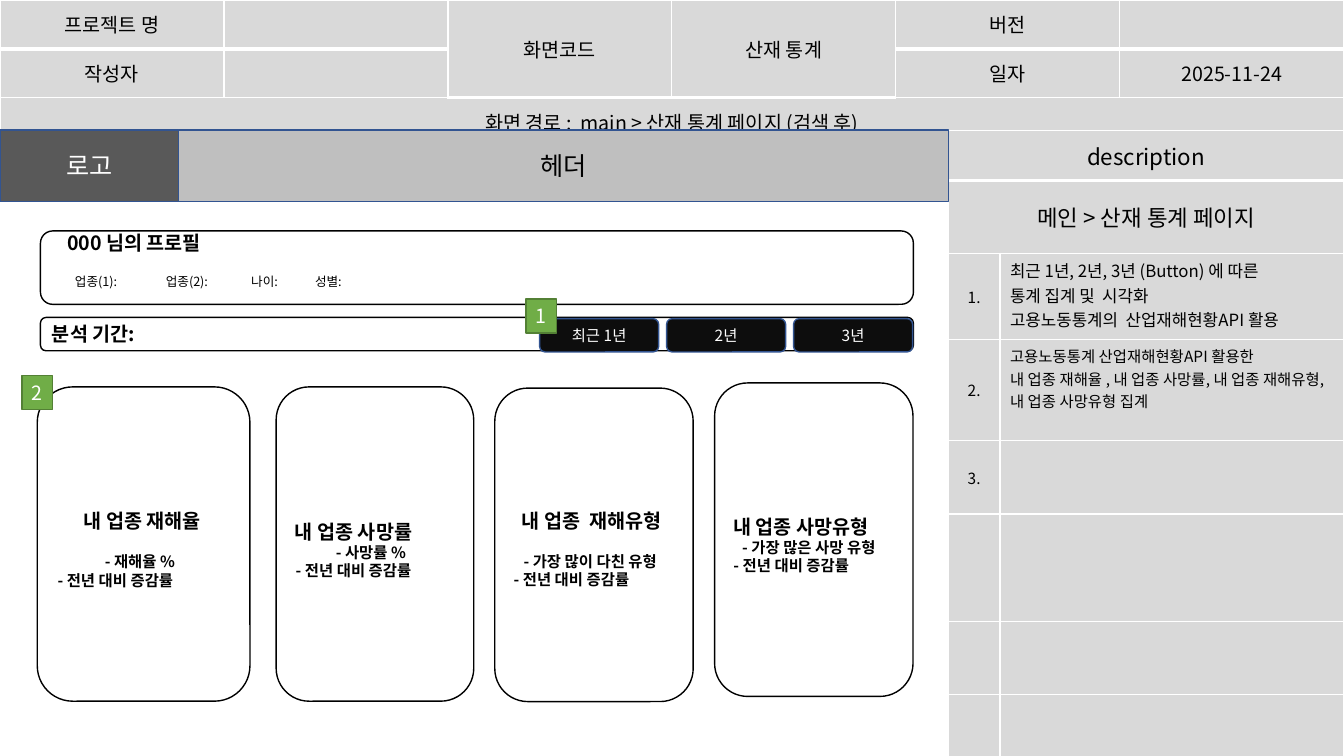
from lxml import etree
from pptx import Presentation
from pptx.dml.color import RGBColor
from pptx.enum.shapes import MSO_SHAPE
from pptx.enum.text import MSO_ANCHOR, PP_ALIGN
from pptx.oxml.ns import qn
from pptx.util import Cm, Pt

RECT, ROUND = MSO_SHAPE.RECTANGLE, MSO_SHAPE.ROUNDED_RECTANGLE
TOP, MIDDLE = MSO_ANCHOR.TOP, MSO_ANCHOR.MIDDLE
LEFT, CENTER = PP_ALIGN.LEFT, PP_ALIGN.CENTER

FONT = "Noto Sans CJK KR"
BLACK = RGBColor(0x00, 0x00, 0x00)
WHITE = RGBColor(0xFF, 0xFF, 0xFF)
CELL_GRAY = RGBColor(0xD9, 0xD9, 0xD9)
BAR_GRAY = RGBColor(0xBF, 0xBF, 0xBF)
LOGO_GRAY = RGBColor(0x59, 0x59, 0x59)
BUTTON_BLACK = RGBColor(0x0D, 0x0D, 0x0D)
BLUE_EDGE = RGBColor(0x32, 0x54, 0x91)
GREEN = RGBColor(0x70, 0xAD, 0x47)
GREEN_EDGE = RGBColor(0x53, 0x80, 0x35)

SLIDE_W, SLIDE_H = 33.87, 19.05
BODY_TOP, SIDE_LEFT = 3.28, 23.9

INFO_ROWS = [
    ["프로젝트 명", "", "화면코드", "산재 통계", "버전", ""],
    ["작성자", "", "", "", "일자", "2025-11-24"],
    ["화면 경로 :  main > 산재 통계 페이지 (검색 후)", "", "", "", "", ""],
]
INFO_MERGES = [(0, 2, 1, 2), (0, 3, 1, 3), (2, 0, 2, 5)]
INFO_ROW_H, INFO_INSET = 1.23, 0.25

SIDE_HEADS = ["description", "메인 > 산재 통계 페이지"]
SIDE_NOTES = [
    ("1.", 12, ["최근 1년, 2년, 3년 (Button) 에 따른", "통계 집계 및  시각화",
                "고용노동통계의  산업재해현황API 활용"]),
    ("2.", 11, ["고용노동통계 산업재해현황API 활용한",
                "내 업종 재해율 , 내 업종 사망률, 내 업종 재해유형, 내 업종 사망유형 집계"]),
    ("3.", 11, []),
]
SIDE_COLS = [1.3, SLIDE_W - SIDE_LEFT - 1.3]
SIDE_ROW_H = [1.27, 1.83, 2.18, 2.54, 1.85, 2.72, 1.83, 1.63]

PROFILE_TITLE = "000 님의 프로필"
PROFILE_FIELDS = [("업종(1):", 0.2), ("업종(2):", 2.49), ("나이:", 4.64), ("성별:", 6.25)]
PERIODS = ["최근 1년", "2년", "3년"]

CARDS = [
    {"at": (0.94, 9.75, 5.36, 7.92), "inset": 2.82, "gap": 14,
     "lines": [("내 업종 재해율", 0.91), ("- 재해율 %", 1.44), ("- 전년 대비 증감률", 0.25)]},
    {"at": (6.96, 9.75, 4.98, 7.92), "inset": 3.1, "gap": 0,
     "lines": [("내 업종 사망률", 0.23), ("- 사망률 %", 1.26), ("- 전년 대비 증감률", 0.25)]},
    {"at": (12.47, 9.78, 5, 7.9), "inset": 2.8, "gap": 14,
     "lines": [("내 업종  재해유형", 0.43), ("- 가장 많이 다친 유형", 0.48), ("- 전년 대비 증감률", 0.23)]},
    {"at": (18.01, 9.65, 5, 7.9), "inset": 3.07, "gap": 0,
     "lines": [("내 업종 사망유형", 0.23), ("- 가장 많은 사망 유형", 0.45), ("- 전년 대비 증감률", 0.23)]},
]
BADGES = [("1", 13.26, 7.54), ("2", 0.56, 9.47)]


def write(paragraph, text, size, color=BLACK, bold=False, align=CENTER):
    """Add one formatted run to a paragraph."""
    paragraph.alignment = align
    run = paragraph.add_run()
    run.text = text
    run.font.size = Pt(size)
    run.font.bold = bold
    run.font.color.rgb = color
    run.font.name = FONT
    etree.SubElement(run.font._element, qn("a:ea"), typeface=FONT)


def next_paragraph(frame, index):
    """Return the first paragraph of a frame, or a new one after it."""
    return frame.add_paragraph() if index else frame.paragraphs[0]


def add_box(slide, kind, at, fill, edge):
    """Add a filled, outlined box and return its text frame."""
    box = slide.shapes.add_shape(kind, *map(Cm, at))
    box.shadow.inherit = False
    box.fill.solid()
    box.fill.fore_color.rgb = fill
    box.line.color.rgb = edge
    box.line.width = Pt(1)
    frame = box.text_frame
    frame.word_wrap = True
    frame.vertical_anchor = MIDDLE
    return frame


def add_label(slide, kind, at, fill, edge, text, size, color=WHITE):
    """Add a box with one centred label."""
    frame = add_box(slide, kind, at, fill, edge)
    frame.margin_left = frame.margin_right = frame.margin_top = frame.margin_bottom = 0
    write(frame.paragraphs[0], text, size, color)


def add_grid(slide, left, top, col_widths, row_heights, thick_row=0):
    """Add a gray table with white borders, thicker below one row."""
    frame = slide.shapes.add_table(len(row_heights), len(col_widths), Cm(left), Cm(top),
                                   Cm(sum(col_widths)), Cm(sum(row_heights)))
    grid = frame.table
    grid.first_row = grid.horz_banding = False
    for column, width in zip(grid.columns, col_widths):
        column.width = Cm(width)
    for r, (row, height) in enumerate(zip(grid.rows, row_heights)):
        row.height = Cm(height)
        for cell in row.cells:
            properties = cell._tc.get_or_add_tcPr()
            for side in "LRTB":
                width = 3 if side == "B" and r == thick_row else 1
                border = etree.SubElement(properties, qn(f"a:ln{side}"), w=str(Pt(width)))
                paint = etree.SubElement(border, qn("a:solidFill"))
                etree.SubElement(paint, qn("a:srgbClr"), val=str(WHITE))
            cell.fill.solid()
            cell.fill.fore_color.rgb = CELL_GRAY
    return grid


def add_info(slide):
    """Add the project information across the top."""
    columns = len(INFO_ROWS[0])
    grid = add_grid(slide, 0, 0, [SLIDE_W / columns] * columns, [INFO_ROW_H] * len(INFO_ROWS))
    for r1, c1, r2, c2 in INFO_MERGES:
        grid.cell(r1, c1).merge(grid.cell(r2, c2))
    for r, texts in enumerate(INFO_ROWS):
        for c, text in enumerate(texts):
            if text:
                cell = grid.cell(r, c)
                cell.margin_top = cell.margin_bottom = Cm(INFO_INSET)
                cell.vertical_anchor = MIDDLE
                write(cell.text_frame.paragraphs[0], text, 14)


def add_description(slide):
    """Add the description column on the right."""
    grid = add_grid(slide, SIDE_LEFT, BODY_TOP, SIDE_COLS, SIDE_ROW_H)
    for r, head in enumerate(SIDE_HEADS):
        grid.cell(r, 0).merge(grid.cell(r, 1))
        grid.cell(r, 0).vertical_anchor = MIDDLE
        write(grid.cell(r, 0).text_frame.paragraphs[0], head, 16)
    for r, (number, size, lines) in enumerate(SIDE_NOTES, len(SIDE_HEADS)):
        grid.cell(r, 0).vertical_anchor = MIDDLE
        write(grid.cell(r, 0).text_frame.paragraphs[0], number, 11)
        for i, line in enumerate(lines):
            write(next_paragraph(grid.cell(r, 1).text_frame, i), line, size, align=LEFT)


def add_profile(slide):
    """Add the profile box with its row of fields."""
    frame = add_box(slide, ROUND, (1.02, 5.82, 22, 1.85), WHITE, BLACK)
    frame.vertical_anchor = TOP
    frame.margin_left = Cm(0.58)
    frame.margin_top = frame.margin_bottom = 0
    title = frame.paragraphs[0]
    title.line_spacing = 0.85
    write(title, PROFILE_TITLE, 14, bold=True, align=LEFT)
    fields = frame.add_paragraph()
    fields.space_before = Pt(13.5)
    tabs = etree.SubElement(fields._p.get_or_add_pPr(), qn("a:tabLst"))
    for name, position in PROFILE_FIELDS:
        etree.SubElement(tabs, qn("a:tab"), pos=str(Cm(position)), algn="l")
        write(fields, "\t" + name, 9, align=LEFT)


def add_card(slide, card):
    """Add one statistics card."""
    frame = add_box(slide, ROUND, card["at"], WHITE, BLACK)
    frame.vertical_anchor = TOP
    frame.margin_left = frame.margin_right = frame.margin_bottom = 0
    frame.margin_top = Cm(card["inset"])
    for i, (text, indent) in enumerate(card["lines"]):
        line = next_paragraph(frame, i)
        line._p.get_or_add_pPr().set("marL", str(Cm(indent)))
        if i == 1:
            line.space_before = Pt(card["gap"])
        write(line, text, 11 if i else 14, bold=True, align=LEFT)


def main():
    """Build the industrial accident statistics screen plan."""
    deck = Presentation()
    deck.slide_width, deck.slide_height = Cm(SLIDE_W), Cm(SLIDE_H)
    slide = deck.slides.add_slide(deck.slide_layouts[6])
    add_info(slide)
    add_description(slide)
    add_label(slide, RECT, (4.5, BODY_TOP, SIDE_LEFT - 4.5, 1.8), BAR_GRAY, BLUE_EDGE, "헤더", 18, BLACK)
    add_label(slide, RECT, (0, BODY_TOP, 4.5, 1.8), LOGO_GRAY, BLUE_EDGE, "로고", 18)
    add_profile(slide)
    period = add_box(slide, ROUND, (1.02, 8, 22, 0.84), WHITE, BLACK)
    write(period.paragraphs[0], "분석 기간:", 14, bold=True, align=LEFT)
    for i, label in enumerate(PERIODS):
        add_label(slide, ROUND, (13.6 + 3.2 * i, 8.03, 3, 0.84), BUTTON_BLACK, BLUE_EDGE, label, 11)
    for card in CARDS:
        add_card(slide, card)
    for number, left, top in BADGES:
        add_label(slide, RECT, (left, top, 0.76, 0.85), GREEN, GREEN_EDGE, number, 14)
    deck.save("out.pptx")


if __name__ == "__main__":
    main()
